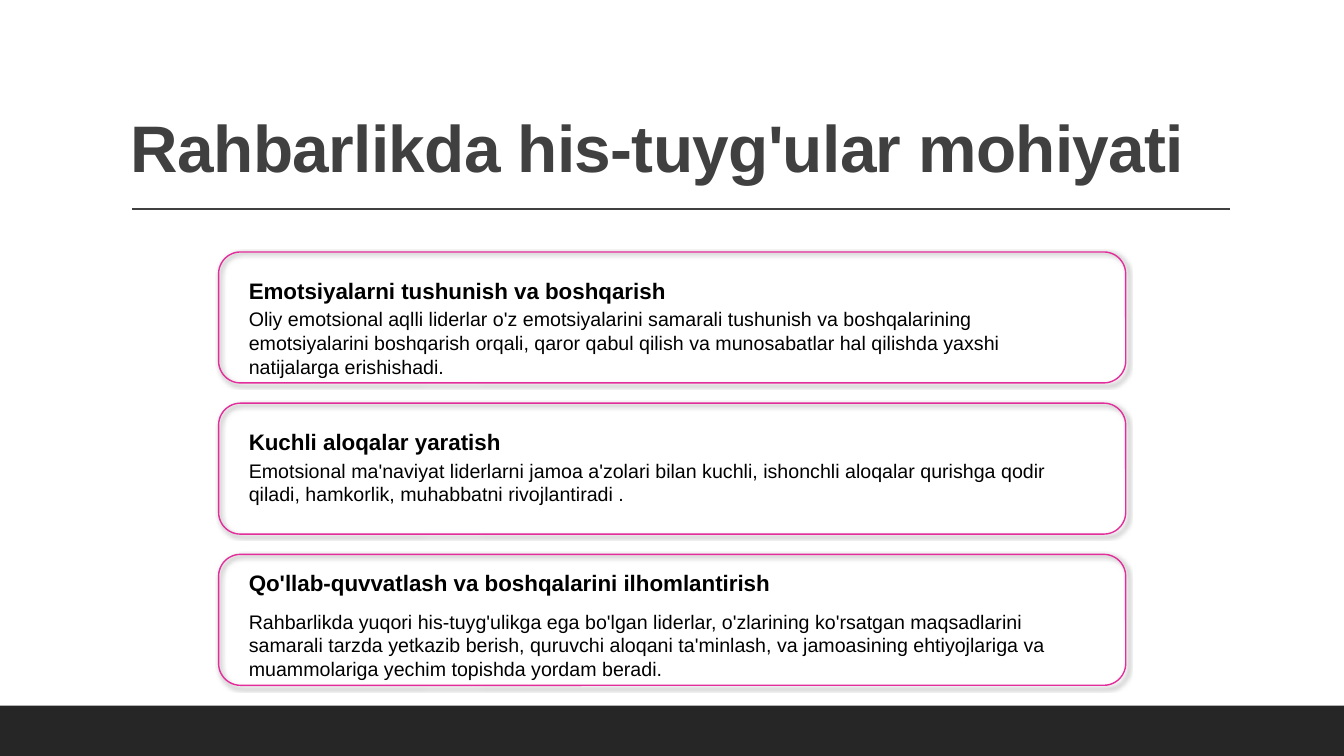
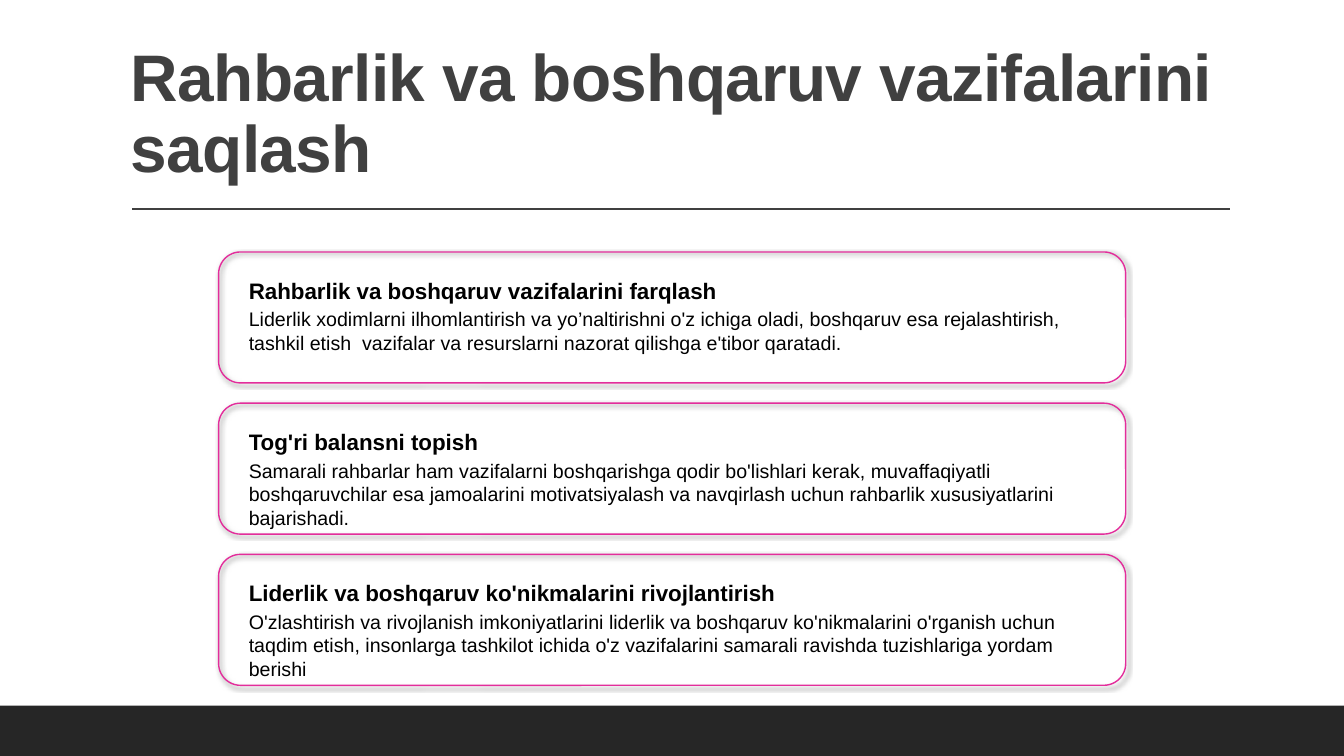
"""Build two slides on leadership, each with a title and three outlined cards."""
from dataclasses import dataclass

from lxml import etree
from pptx import Presentation
from pptx.dml.color import RGBColor
from pptx.enum.shapes import MSO_CONNECTOR, MSO_SHAPE
from pptx.enum.text import MSO_ANCHOR, MSO_AUTO_SIZE
from pptx.oxml.ns import qn
from pptx.util import Cm, Pt

RECT, ROUND = MSO_SHAPE.RECTANGLE, MSO_SHAPE.ROUNDED_RECTANGLE
LINE = MSO_CONNECTOR.STRAIGHT
TOP, BOTTOM = MSO_ANCHOR.TOP, MSO_ANCHOR.BOTTOM
GROW, FIXED = MSO_AUTO_SIZE.SHAPE_TO_FIT_TEXT, MSO_AUTO_SIZE.NONE


@dataclass(frozen=True)
class Theme:
    """Colours and type styles shared by the slides."""
    band = RGBColor(0x26, 0x26, 0x26)
    rule = RGBColor(0x40, 0x40, 0x40)
    edge = RGBColor(0xE3, 0x2D, 0x9B)
    ink = RGBColor(0, 0, 0)
    title = {"name": "Arial", "size": Pt(47), "bold": True}
    head = {"name": "Arial", "size": Pt(16), "bold": True}
    body = {"name": "Arial", "size": Pt(14), "bold": False}


THEME = Theme()
WIDE, HIGH = Cm(33.87), Cm(19.05)
BAND_TOP = Cm(17.78)
CARD_X, CARD_Y, CARD_W, CARD_H = Cm(5.51), Cm(6.35), Cm(22.86), Cm(3.3)
STEP = Cm(3.81)
INSET, TEXT_W = Cm(0.51), Cm(21.84)
HEAD_H, BODY_H = Cm(0.76), Cm(2.03)
HIGHER, NORMAL, BODY_GAP = Cm(0.25), Cm(0.51), Cm(1.27)

SLIDES = [
    ("Rahbarlikda his-tuyg'ular mohiyati", [
        ("Emotsiyalarni tushunish va boshqarish", NORMAL,
         "Oliy emotsional aqlli liderlar o'z emotsiyalarini samarali tushunish "
         "va boshqalarining emotsiyalarini boshqarish orqali, qaror qabul qilish "
         "va munosabatlar hal qilishda yaxshi natijalarga erishishadi."),
        ("Kuchli aloqalar yaratish", NORMAL,
         "Emotsional ma'naviyat liderlarni jamoa a'zolari bilan kuchli, "
         "ishonchli aloqalar qurishga qodir qiladi, hamkorlik, muhabbatni "
         "rivojlantiradi ."),
        ("Qo'llab-quvvatlash va boshqalarini ilhomlantirish", HIGHER,
         "Rahbarlikda yuqori his-tuyg'ulikga ega bo'lgan liderlar, o'zlarining "
         "ko'rsatgan maqsadlarini samarali tarzda yetkazib berish, quruvchi "
         "aloqani ta'minlash, va jamoasining ehtiyojlariga va muammolariga "
         "yechim topishda yordam beradi."),
    ]),
    ("Rahbarlik va boshqaruv vazifalarini saqlash", [
        ("Rahbarlik va boshqaruv vazifalarini farqlash", NORMAL,
         "Liderlik xodimlarni ilhomlantirish va yo’naltirishni o'z ichiga oladi, "
         "boshqaruv esa rejalashtirish, tashkil etish  vazifalar va resurslarni "
         "nazorat qilishga e'tibor qaratadi."),
        ("Tog'ri balansni topish", NORMAL,
         "Samarali rahbarlar ham vazifalarni boshqarishga qodir bo'lishlari "
         "kerak, muvaffaqiyatli boshqaruvchilar esa jamoalarini motivatsiyalash "
         "va navqirlash uchun rahbarlik xususiyatlarini bajarishadi."),
        ("Liderlik va boshqaruv ko'nikmalarini rivojlantirish", NORMAL,
         "O'zlashtirish va rivojlanish imkoniyatlarini liderlik va boshqaruv "
         "ko'nikmalarini o'rganish uchun taqdim etish, insonlarga tashkilot "
         "ichida o'z vazifalarini samarali ravishda tuzishlariga yordam berishi"),
    ]),
]


def write(slide, text, place, style, color, anchor=TOP, fit=GROW):
    """Add a wrapped text box and return its paragraph."""
    frame = slide.shapes.add_textbox(*place).text_frame
    frame.word_wrap, frame.auto_size, frame.vertical_anchor = True, fit, anchor
    para = frame.paragraphs[0]
    run = para.add_run()
    run.text = text
    for key, value in style.items():
        setattr(run.font, key, value)
    run.font.color.rgb = color
    return para


def cast(shape):
    """Give a shape a soft shadow down and to the right."""
    effects = etree.SubElement(shape._element.spPr, qn("a:effectLst"))
    shadow = etree.SubElement(effects, qn("a:outerShdw"), blurRad=str(Pt(3)),
                              dist=str(Pt(2)), dir="2700000", algn="tl",
                              rotWithShape="0")
    tint = etree.SubElement(shadow, qn("a:srgbClr"), val=str(THEME.ink))
    etree.SubElement(tint, qn("a:alpha"), val="60000")


deck = Presentation()
deck.slide_width, deck.slide_height = WIDE, HIGH

for title, cards in SLIDES:
    slide = deck.slides.add_slide(deck.slide_layouts[6])

    band = slide.shapes.add_shape(RECT, 0, BAND_TOP, WIDE, HIGH - BAND_TOP)
    band.shadow.inherit = False
    band.fill.solid()
    band.fill.fore_color.rgb = THEME.band
    band.line.fill.background()

    rule = slide.shapes.add_connector(LINE, Cm(3.33), Cm(5.27), Cm(31), Cm(5.27))
    rule.line.color.rgb = THEME.rule
    rule.line.width = Pt(1)
    etree.SubElement(rule._element.spPr, qn("a:effectLst"))

    place = Cm(3.05), Cm(0.79), Cm(27.94), Cm(4.04)
    para = write(slide, title, place, THEME.title, THEME.rule, BOTTOM, FIXED)
    para.line_spacing = 0.9
    para.runs[0].font._element.set("spc", "-50")

    for row, (head, drop, body) in enumerate(cards):
        top = CARD_Y + row * STEP
        card = slide.shapes.add_shape(ROUND, CARD_X, top, CARD_W, CARD_H)
        card.fill.background()
        card.line.color.rgb = THEME.edge
        card.line.width = Pt(1)
        cast(card)
        left = CARD_X + INSET
        write(slide, head, (left, top + drop, TEXT_W, HEAD_H), THEME.head, THEME.ink)
        write(slide, body, (left, top + BODY_GAP, TEXT_W, BODY_H), THEME.body, THEME.ink)

deck.save("out.pptx")
